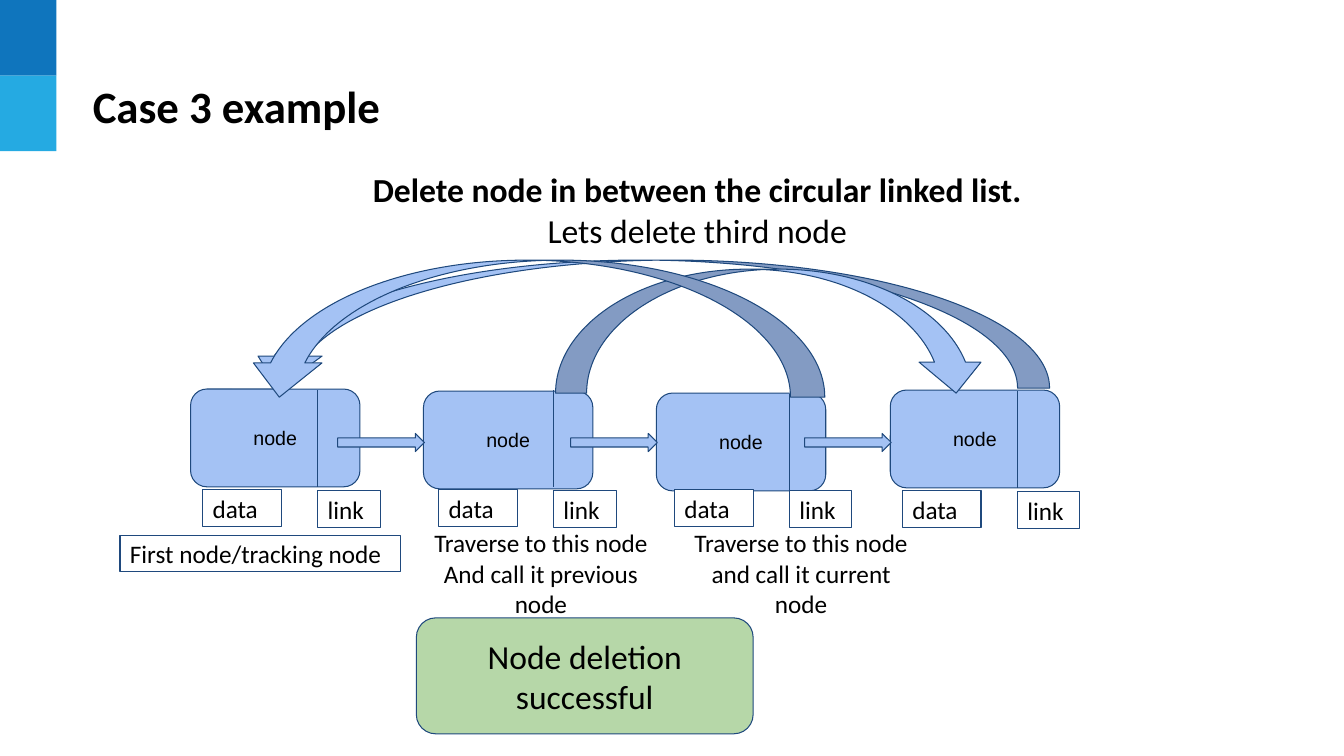
from lxml import etree
from pptx import Presentation
from pptx.dml.color import RGBColor
from pptx.enum.shapes import MSO_CONNECTOR, MSO_SHAPE
from pptx.enum.text import MSO_ANCHOR, MSO_AUTO_SIZE, PP_ALIGN
from pptx.oxml.ns import qn
from pptx.util import Pt

PX = 9144  # 100 px to the inch

RECT, ROUNDED = MSO_SHAPE.RECTANGLE, MSO_SHAPE.ROUNDED_RECTANGLE
RIGHT_ARROW, CURVED_ARROW = MSO_SHAPE.RIGHT_ARROW, MSO_SHAPE.CURVED_UP_ARROW
STRAIGHT = MSO_CONNECTOR.STRAIGHT
TOP, MIDDLE = MSO_ANCHOR.TOP, MSO_ANCHOR.MIDDLE
LEFT, CENTER = PP_ALIGN.LEFT, PP_ALIGN.CENTER
NO_AUTOFIT = MSO_AUTO_SIZE.NONE

BLACK = RGBColor(0x00, 0x00, 0x00)
WHITE = RGBColor(0xFF, 0xFF, 0xFF)
DARK_BLUE = RGBColor(0x0F, 0x75, 0xBD)
LIGHT_BLUE = RGBColor(0x25, 0xAA, 0xE2)
NAVY = RGBColor(0x1F, 0x49, 0x7D)
NODE_BLUE = RGBColor(0xA4, 0xC2, 0xF4)
GREEN = RGBColor(0xB6, 0xD7, 0xA8)

NODE_WIDTH, NODE_HEIGHT = 168, 97
# left, top, divider left, divider top, label top
NODES = [
    (189, 386, 315, 387, 486),
    (420, 388, 549, 387, 486),
    (651, 390, 783, 391, 486),
    (883, 387, 1009, 388, 487),
]


def emu(*lengths):
    return [length * PX for length in lengths]


def write(frame, lines, size, align=LEFT, anchor=MIDDLE, font="Calibri",
          bold_lines=0, inset_y=10):
    """Fill a text frame, one paragraph a line, the first bold_lines in bold."""
    settings = {
        "word_wrap": True, "auto_size": NO_AUTOFIT, "vertical_anchor": anchor,
        "margin_left": 10 * PX, "margin_right": 10 * PX,
        "margin_top": inset_y * PX, "margin_bottom": inset_y * PX,
    }
    for key, value in settings.items():
        setattr(frame, key, value)
    for index, line in enumerate(lines):
        paragraph = frame.paragraphs[0] if index == 0 else frame.add_paragraph()
        paragraph.alignment = align
        run = paragraph.add_run()
        run.text = line
        looks = {"name": font, "size": Pt(size), "bold": index < bold_lines}
        for key, value in looks.items():
            setattr(run.font, key, value)
        run.font.color.rgb = BLACK


def draw(slide, kind, box, fill, line=NAVY):
    shape = slide.shapes.add_shape(kind, *emu(*box))
    shape.shadow.inherit = False
    shape.fill.solid()
    shape.fill.fore_color.rgb = fill
    if line is None:
        shape.line.fill.background()
    else:
        shape.line.color.rgb = line
        shape.line.width = Pt(0.75)
    return shape


def draw_label(slide, box, text):
    write(draw(slide, RECT, box, WHITE).text_frame, [text], 18)


def draw_corner(slide, left, top, width, height):
    for row, color in enumerate((DARK_BLUE, LIGHT_BLUE)):
        draw(slide, RECT, (left, top + row * height, width, height), color, None)


def draw_heading(slide, title_box, intro_box):
    title = slide.shapes.title
    title.left, title.top, title.width, title.height = emu(*title_box)
    write(title.text_frame, ["Case 3 example"], 32, bold_lines=1, inset_y=5)
    intro = slide.shapes.add_textbox(*emu(*intro_box)).text_frame
    write(intro, ["Delete node in between the circular linked list.",
                  "Lets delete third node"], 24, CENTER, TOP, bold_lines=1)
    for paragraph in intro.paragraphs:
        properties = paragraph._p.get_or_add_pPr()
        properties.set("marL", str(50 * PX))
        properties.set("indent", "0")


def draw_node(slide, left, top, divider_left, divider_top, label_top):
    body = draw(slide, ROUNDED, (left, top, NODE_WIDTH, NODE_HEIGHT), NODE_BLUE)
    write(body.text_frame, ["node"], 14, CENTER, font="Arial")
    divider = slide.shapes.add_connector(
        STRAIGHT, *emu(divider_left, divider_top, divider_left, divider_top + 96))
    divider.line.color.rgb = NAVY
    divider.line.width = Pt(0.75)
    etree.SubElement(divider._element.spPr, qn("a:effectLst"))
    draw_label(slide, (divider_left, label_top + 1, 62, 36), "link")
    draw_label(slide, (divider_left - 114, label_top, 78, 36), "data")


def draw_list(slide):
    for node in NODES:
        draw_node(slide, *node)
    for next_left, *_ in NODES[1:]:
        draw(slide, RIGHT_ARROW, (next_left - 85, 430, 86, 18), NODE_BLUE)


def draw_curve(slide, box, flipped=False):
    """Arc over the nodes, pointing left unless flipped."""
    curve = draw(slide, CURVED_ARROW, box, NODE_BLUE)
    curve.rotation = 180
    if flipped:
        curve._element.spPr.find(qn("a:xfrm")).set("flipH", "1")


def draw_captions(slide, left, top):
    captions = [
        ["Traverse to this node", "And call it previous node"],
        ["Traverse to this node and call it current node"],
    ]
    for column, lines in enumerate(captions):
        caption = draw(slide, RECT, (left + column * 258, top, 251, 75), WHITE, WHITE)
        write(caption.text_frame, lines, 18, CENTER)


def draw_result(slide, box):
    result = draw(slide, ROUNDED, box, GREEN)
    write(result.text_frame, ["Node deletion successful"], 24, CENTER)


def main():
    deck = Presentation()
    deck.slide_width, deck.slide_height = emu(1333, 750)
    slide = deck.slides.add_slide(deck.slide_layouts[5])
    draw_corner(slide, 0, 0, 56, 75)
    draw_heading(slide, (82, 60, 934, 90), (159, 158, 1015, 101))
    draw_label(slide, (119, 531, 278, 36), "First node/tracking node")
    draw_list(slide)
    draw_curve(slide, (244, 258, 797, 127))
    draw_result(slide, (413, 613, 334, 115))
    draw_captions(slide, 411, 531)
    draw_curve(slide, (551, 267, 428, 123), flipped=True)
    draw_curve(slide, (243, 258, 575, 136))
    deck.save("out.pptx")


if __name__ == "__main__":
    main()
